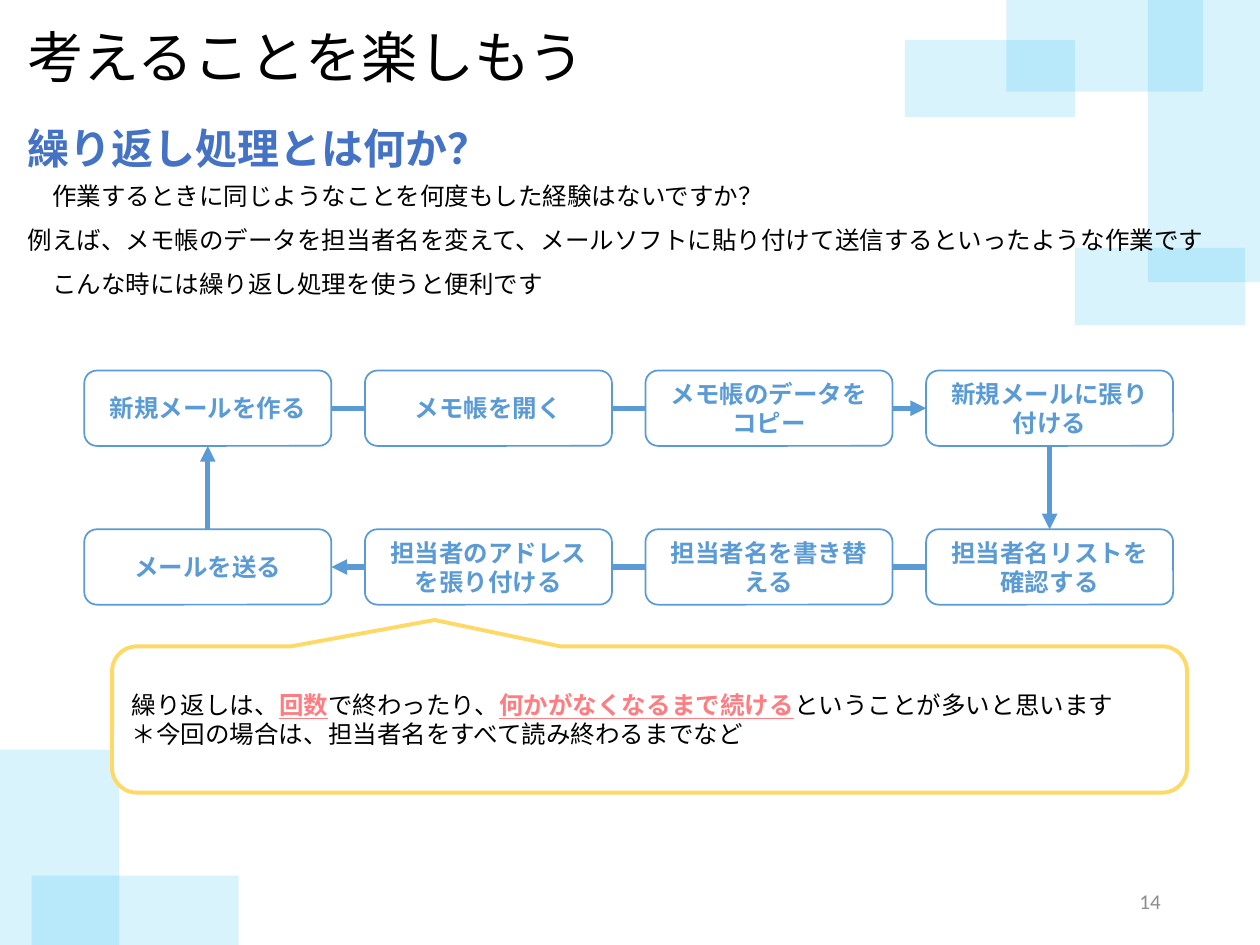
from lxml import etree
from pptx import Presentation
from pptx import util as u
from pptx.dml.color import RGBColor
from pptx.enum import shapes, text
from pptx.oxml.ns import qn

JAPANESE = "Noto Sans CJK JP"
BLACK, WHITE, GRAY = "000000", "FFFFFF", "8C8C8C"
BLUE, HEADING_BLUE, SKY = "5B9BD5", "4472C4", "00B0F0"
YELLOW, PINK = "FFD966", "FF7C80"

TOP_RIGHT_TILES = [(3.43, 5, 3.43, 1.55), (4.9, 0, 2.26, 5.69),
                   (2.05, 0, 3.96, 1.85), (0, 0.81, 3.43, 1.55)]
BOTTOM_LEFT_TILES = [(0, 0, 2.41, 3.94), (0.64, 2.54, 4.17, 1.4)]

INTRODUCTION = [
    "　作業するときに同じようなことを何度もした経験はないですか？",
    "例えば、メモ帳のデータを担当者名を変えて、メールソフトに貼り付けて送信するといったような作業です",
    "　こんな時には繰り返し処理を使うと便利です",
]
STEP_ROWS = [
    ["新規メールを作る", "メモ帳を開く", "メモ帳のデータをコピー", "新規メールに張り付ける"],
    ["メールを送る", "担当者のアドレスを張り付ける", "担当者名を書き替える", "担当者名リストを確認する"],
]
# Each span is its wording and whether it is emphasised.
CALLOUT = [
    [("繰り返しは、", False), ("回数", True), ("で終わったり、", False),
     ("何かがなくなるまで続ける", True), ("ということが多いと思います", False)],
    [("＊今回の場合は、担当者名をすべて読み終わるまでなど", False)],
]


def color(hex_string):
    return RGBColor.from_string(hex_string)


def lengths(box):
    return [u.Cm(value) for value in box]


def style_span(span, size, hex_string, bold=False, name=JAPANESE):
    font = span.font
    font.name, font.size, font.bold = name, u.Pt(size), bold
    font.color.rgb = color(hex_string)
    latin = span._r.get_or_add_rPr().find(qn("a:latin"))
    east_asian = etree.Element(qn("a:ea"), typeface=name)
    latin.addnext(east_asian)


def style_frame(frame, size, hex_string, bold=False, name=JAPANESE,
                align=text.PP_ALIGN.LEFT, anchor=text.MSO_ANCHOR.TOP, spacing=1):
    frame.word_wrap = True
    frame.auto_size = text.MSO_AUTO_SIZE.NONE
    frame.vertical_anchor = anchor
    for para in frame.paragraphs:
        para.alignment = align
        para.line_spacing = spacing
        para.space_before = u.Pt(0)
        for span in para.runs:
            style_span(span, size, hex_string, bold, name)


def add_panel(page, kind, box, fill, line=None, width=1):
    panel = page.shapes.add_shape(kind, *lengths(box))
    panel.shadow.inherit = False
    panel.fill.solid()
    panel.fill.fore_color.rgb = color(fill)
    if line:
        panel.line.color.rgb = color(line)
        panel.line.width = u.Pt(width)
    else:
        panel.line.fill.background()
    return panel


def add_tiles(page, left, top, tiles):
    for x, y, width, height in tiles:
        tile = add_panel(page, shapes.MSO_SHAPE.RECTANGLE,
                         (left + x, top + y, width, height), SKY)
        tint = tile.fill._xPr.find(qn("a:solidFill"))[0]
        etree.SubElement(tint, qn("a:alpha"), val="15000")


def place_placeholder(holder, box):
    """Move a placeholder into the box and above the tiles."""
    holder.left, holder.top, holder.width, holder.height = lengths(box)
    holder.element.getparent().append(holder.element)


def fill_title(page, box):
    title = page.shapes.title
    place_placeholder(title, box)
    title.text_frame.text = "考えることを楽しもう"
    style_frame(title.text_frame, 32, BLACK)


def fill_introduction(page, box):
    body = page.placeholders[1]
    place_placeholder(body, box)
    frame = body.text_frame
    frame.text = "\n".join(INTRODUCTION)
    for para in frame.paragraphs:
        properties = para._p.get_or_add_pPr()
        properties.set("marL", "0")
        properties.set("indent", "0")
        etree.SubElement(properties, qn("a:buNone"))
    style_frame(frame, 14, BLACK, spacing=1.5)


def add_label(page, box, wording, size, hex_string, **style):
    frame = page.shapes.add_textbox(*lengths(box)).text_frame
    frame.text = wording
    style_frame(frame, size, hex_string, **style)


def add_step(page, box, wording):
    step = add_panel(page, shapes.MSO_SHAPE.ROUNDED_RECTANGLE, box, WHITE, BLUE)
    step.text_frame.text = wording
    style_frame(step.text_frame, 14, BLUE, bold=True,
                align=text.PP_ALIGN.CENTER, anchor=text.MSO_ANCHOR.MIDDLE)
    return step


def add_arrow(page, start, start_side, end, end_side):
    arrow = page.shapes.add_connector(shapes.MSO_CONNECTOR.STRAIGHT, 0, 0, 0, 0)
    arrow.begin_connect(start, start_side)
    arrow.end_connect(end, end_side)
    arrow.line.color.rgb = color(BLUE)
    arrow.line.width = u.Pt(3)
    etree.SubElement(arrow.line._get_or_add_ln(), qn("a:tailEnd"), type="triangle")
    etree.SubElement(arrow.element.spPr, qn("a:effectLst"))
    return arrow


def add_loop(page, box):
    """Two rows of steps joined clockwise, with the row arrows behind the steps."""
    left, top, width, height = box
    step_width, step_height = 4.98, 1.52
    column_gap = (width - step_width) / (len(STEP_ROWS[0]) - 1)
    row_gap = height - step_height
    upper, lower = [
        [add_step(page, (left + column * column_gap, top + row * row_gap,
                         step_width, step_height), wording)
         for column, wording in enumerate(wordings)]
        for row, wordings in enumerate(STEP_ROWS)
    ]
    for arrow in (add_arrow(page, lower[-1], 1, lower[0], 3),
                  add_arrow(page, upper[0], 3, upper[-1], 1)):
        upper[0].element.addprevious(arrow.element)
    add_arrow(page, lower[0], 0, upper[0], 2)
    add_arrow(page, upper[-1], 2, lower[-1], 0)


def add_callout(page, box):
    callout = add_panel(page, shapes.MSO_SHAPE.ROUNDED_RECTANGULAR_CALLOUT,
                        box, WHITE, YELLOW, 2.25)
    for index, value in enumerate((-0.2, -0.68, 0.17)):
        callout.adjustments[index] = value
    frame = callout.text_frame
    frame.text = "\n".join("" for _ in CALLOUT)
    for para, spans in zip(frame.paragraphs, CALLOUT):
        for wording, _ in spans:
            para.add_run().text = wording
    style_frame(frame, 14, BLACK, anchor=text.MSO_ANCHOR.MIDDLE)
    for para, spans in zip(frame.paragraphs, CALLOUT):
        for span, (_, emphasised) in zip(para.runs, spans):
            if emphasised:
                span.font.bold = span.font.underline = True
                span.font.color.rgb = color(PINK)


def main():
    deck = Presentation()
    deck.slide_width, deck.slide_height = u.Cm(25.4), u.Cm(19.05)
    page = deck.slides.add_slide(deck.slide_layouts[1])
    add_tiles(page, 18.24, 0, TOP_RIGHT_TILES)
    add_tiles(page, 0, 15.11, BOTTOM_LEFT_TILES)
    fill_title(page, (0.3, 0.33, 16.18, 1.63))
    add_label(page, (0.3, 1.83, 18.85, 1.68), "繰り返し処理とは何か？",
              24, HEADING_BLUE, bold=True, spacing=1.5)
    fill_introduction(page, (0.3, 3.23, 24.79, 2.87))
    add_callout(page, (2.26, 13.03, 21.67, 2.95))
    add_loop(page, (1.7, 7.47, 21.95, 4.72))
    add_label(page, (17.93, 17.65, 5.72, 1.02), "14", 12, GRAY, name="Calibri",
              align=text.PP_ALIGN.RIGHT, anchor=text.MSO_ANCHOR.MIDDLE)
    deck.save("out.pptx")


if __name__ == "__main__":
    main()
